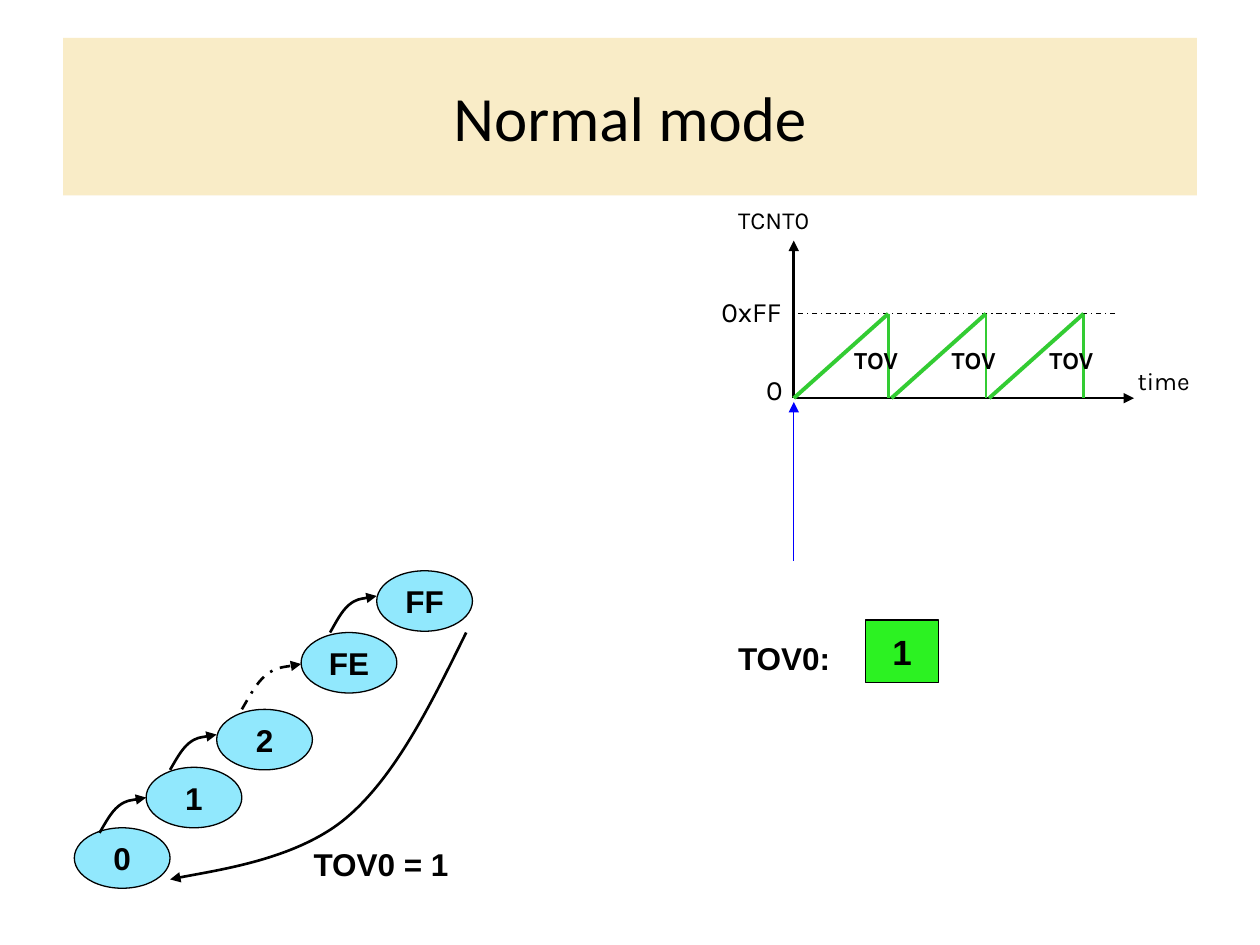
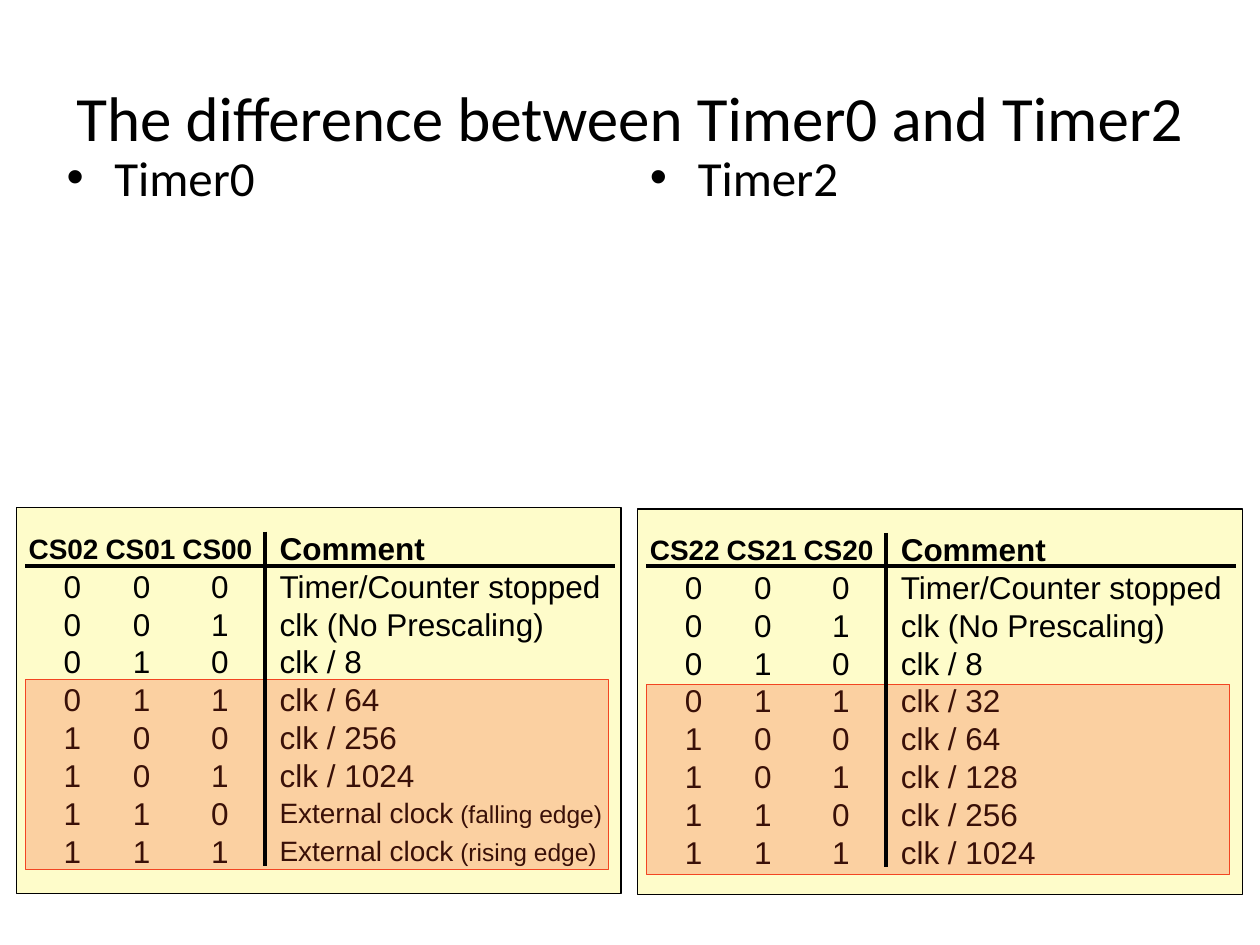
from dataclasses import dataclass

from lxml import etree
from pptx import Presentation
from pptx import util as u
from pptx.dml.color import RGBColor
from pptx.enum import dml, shapes, text
from pptx.oxml.ns import qn


@dataclass(frozen=True)
class Theme:
    black: str = "000000"
    blue: str = "0000FF"
    green: str = "33CC33"
    flag: str = "2CF222"
    state: str = "91E8FD"
    band: str = "F8E8BA"
    panel: str = "FEFCCA"
    highlight: str = "F24522"
    heading_font: str = "Calibri"
    body_font: str = "Arial"
    chart_font: str = "Karla"
    title: int = 36
    bullet: int = 28
    value: int = 20
    body: int = 18
    label: int = 16
    small: int = 14
    thin: float = 0.75
    medium: float = 1.5
    thick: float = 2.25


theme = Theme()
LEFT, CENTER, RIGHT = text.PP_ALIGN.LEFT, text.PP_ALIGN.CENTER, text.PP_ALIGN.RIGHT
DASH_DOT = dml.MSO_LINE.DASH_DOT
NO_GRID_STYLE = "{2D5ABB26-0587-4C30-8999-92F81FD0307C}"


def write(frame, words, size, font=theme.body_font, bold=False, align=LEFT):
    """Put one formatted paragraph in a text frame and return it."""
    para = frame.paragraphs[0]
    para.text = words
    para.alignment = align
    para.font.size = u.Pt(size)
    para.font.name = font
    para.font.bold = bold
    para.font.color.rgb = RGBColor.from_string(theme.black)
    return para


def style_line(line, color, width, dash=None, arrow=False):
    """Format a connector or an open curve, without shadow."""
    line.line.color.rgb = RGBColor.from_string(color)
    line.line.width = u.Pt(width)
    if dash:
        line.line.dash_style = dash
    properties = line.element.spPr
    if arrow:
        etree.SubElement(properties.find(qn("a:ln")), qn("a:tailEnd"), type="triangle")
    etree.SubElement(properties, qn("a:effectLst"))


deck = Presentation()
deck.slide_width, deck.slide_height = u.Inches(10), u.Inches(7.5)
translucent = []  # (shape, opacity in percent)

pages = []
for heading in ("Normal mode", "The difference between Timer0 and Timer2"):
    page = deck.slides.add_slide(deck.slide_layouts[5])
    title = page.shapes.title
    title.left, title.top = u.Inches(0.5), u.Inches(0.3)
    title.width, title.height = u.Inches(9), u.Inches(1.25)
    frame = title.text_frame
    frame.auto_size = text.MSO_AUTO_SIZE.NONE
    frame.vertical_anchor = text.MSO_ANCHOR.MIDDLE
    frame.margin_left = frame.margin_right = 0
    write(frame, heading, theme.title, theme.heading_font, align=CENTER)
    pages.append(page)
mode_page, timer_page = pages

# Normal mode: counter value over time
band = mode_page.shapes.title
band.fill.solid()
band.fill.fore_color.rgb = RGBColor.from_string(theme.band)
translucent.append((band, 80))

origin_x, origin_y, peak_y = 6.3, 3.16, 2.49
tooth_width, tooth_step = 0.75, 0.775
tooth_starts = [origin_x + tooth_step * i for i in range(3)]

chart_lines = [
    (origin_x, origin_y, 9, origin_y, theme.black, theme.medium, None, True),
    (origin_x, origin_y, origin_x, 1.91, theme.black, theme.medium, None, True),
    (8.85, peak_y, origin_x, peak_y, theme.black, theme.thin, DASH_DOT, False),
]
for start in tooth_starts:
    end = start + tooth_width
    chart_lines += [
        (start, origin_y, end, peak_y, theme.green, theme.thick, None, False),
        (end, origin_y, end, peak_y, theme.green, theme.medium, None, False),
    ]
chart_lines.append((origin_x, 4.45, origin_x, 3.19, theme.blue, theme.thin, None, True))
for x1, y1, x2, y2, *style in chart_lines:
    line = mode_page.shapes.add_connector(
        shapes.MSO_CONNECTOR.STRAIGHT,
        u.Inches(x1), u.Inches(y1), u.Inches(x2), u.Inches(y2))
    style_line(line, *style)

labels = [
    ("0xFF", 5.33, 2.29, 0.97, 0.37, theme.label, theme.chart_font, False, RIGHT),
    ("TCNT0", 5.76, 1.58, 0.92, 0.34, theme.small, theme.chart_font, False, LEFT),
    ("0", 5.89, 2.91, 0.42, 0.37, theme.label, theme.chart_font, False, RIGHT),
    ("time", 8.93, 2.86, 0.92, 0.34, theme.small, theme.chart_font, False, LEFT),
    ("TOV0:", 5.76, 5.02, 1.1, 0.4, theme.body, theme.body_font, True, LEFT),
    ("TOV0 = 1", 2.39, 6.66, 1.34, 0.4, theme.body, theme.body_font, True, LEFT),
]
for start in tooth_starts:
    labels.append(("TOV", start + 0.38, 2.69, 1.17, 0.34,
                   theme.small, theme.chart_font, True, LEFT))
for words, left, top, width, height, *style in labels:
    box = mode_page.shapes.add_textbox(
        u.Inches(left), u.Inches(top), u.Inches(width), u.Inches(height))
    box.text_frame.word_wrap = True
    write(box.text_frame, words, *style)

# Normal mode: overflow flag and counter states
OVAL, RECTANGLE = shapes.MSO_SHAPE.OVAL, shapes.MSO_SHAPE.RECTANGLE
nodes = [(RECTANGLE, "1", 6.87, 4.92, 0.58, 0.5, theme.flag, theme.value)]
for words, left, top in (("FE", 2.39, 5.02), ("FF", 2.99, 4.53), ("2", 1.72, 5.63),
                         ("1", 1.16, 6.09), ("0", 0.59, 6.57)):
    nodes.append((OVAL, words, left, top, 0.76, 0.48, theme.state, theme.body))
for kind, words, left, top, width, height, color, size in nodes:
    node = mode_page.shapes.add_shape(
        kind, u.Inches(left), u.Inches(top), u.Inches(width), u.Inches(height))
    node.shadow.inherit = False
    node.fill.solid()
    node.fill.fore_color.rgb = RGBColor.from_string(color)
    node.line.color.rgb = RGBColor.from_string(theme.black)
    node.line.width = u.Pt(theme.thin)
    node.text_frame.word_wrap = False
    node.text_frame.vertical_anchor = text.MSO_ANCHOR.MIDDLE
    write(node.text_frame, words, size, bold=True, align=CENTER)

# Each curve is a start followed by two cubic segments of three points
overflow_curve = [(3.7, 5.02), (3.42, 5.59), (3.14, 6.16), (2.75, 6.49),
                  (2.36, 6.82), (1.63, 6.92), (1.35, 6.98)]
step_shape = [(0, 0), (0.13, 0.29), (0.24, 0.57), (0.4, 0.75),
              (0.57, 0.93), (0.87, 0.96), (1, 1)]
curves = [(overflow_curve, None)]
for x, y, width, height, dash in (
        (0.79, 6.61, 0.37, 0.28, None), (1.35, 6.11, 0.37, 0.28, None),
        (2.62, 5.02, 0.37, 0.29, None), (1.92, 5.63, 0.47, 0.36, DASH_DOT)):
    curves.append(([(x + width * across, y - height * up) for across, up in step_shape], dash))
for points, dash in curves:
    start, *rest = [(u.Inches(x), u.Inches(y)) for x, y in points]
    builder = mode_page.shapes.build_freeform(*start)
    builder.add_line_segments(rest, close=False)
    curve = builder.convert_to_shape()
    outline = next(curve.element.iter(qn("a:path")))
    segments = outline.findall(qn("a:lnTo"))
    for first in range(0, len(segments), 3):
        cubic = etree.SubElement(outline, qn("a:cubicBezTo"))
        for segment in segments[first:first + 3]:
            cubic.append(segment[0])
            outline.remove(segment)
    curve.fill.background()
    style_line(curve, theme.black, theme.medium, dash, arrow=True)

# Timer comparison: one clock-select panel per timer
common = ["Timer/Counter stopped", "clk (No Prescaling)", "clk / 8"]
timers = [
    ("0", 0.43, 0.13, 4.03, 5.39, common + [
        "clk / 64", "clk / 256", "clk / 1024",
        "External clock (falling edge)", "External clock (rising edge)"]),
    ("2", 5.06, 5.06, 4.04, 5.43, common + [
        "clk / 32", "clk / 64", "clk / 128", "clk / 256", "clk / 1024"]),
]
column_widths = (0.61, 0.61, 0.61, 2.85)
digit_insets = (0.14, 0.02, 0.04)
comment_inset = 0.19
row_height = 0.3

for number, bullet_left, left, top, highlight_top, comments in timers:
    box = timer_page.shapes.add_textbox(
        u.Inches(bullet_left), u.Inches(1.12), u.Inches(4.54), u.Inches(1.92))
    box.text_frame.word_wrap = True
    para = box.text_frame.paragraphs[0]
    indent = para._p.get_or_add_pPr()
    indent.set("marL", str(u.Inches(0.38)))
    indent.set("indent", str(u.Inches(-0.38)))
    etree.SubElement(indent, qn("a:buFont"), typeface="Arial")
    etree.SubElement(indent, qn("a:buChar"), char="•")
    write(box.text_frame, f"Timer{number}", theme.bullet, theme.heading_font)

    panel = timer_page.shapes.add_shape(
        RECTANGLE, u.Inches(left), u.Inches(top), u.Inches(4.8), u.Inches(3.06))
    panel.shadow.inherit = False
    panel.fill.solid()
    panel.fill.fore_color.rgb = RGBColor.from_string(theme.panel)
    panel.line.color.rgb = RGBColor.from_string(theme.black)
    panel.line.width = u.Pt(theme.thin)

    header = [f"CS{number}{bit}" for bit in (2, 1, 0)] + ["Comment"]
    rows = [header] + [[*format(i, "03b"), comment] for i, comment in enumerate(comments)]
    table = timer_page.shapes.add_table(
        len(rows), len(header), u.Inches(left + 0.07), u.Inches(top + 0.18),
        u.Inches(sum(column_widths)), u.Inches(row_height * len(rows))).table
    table.first_row = table.horz_banding = False
    next(table._tbl.iter(qn("a:tableStyleId"))).text = NO_GRID_STYLE
    for column, width in zip(table.columns, column_widths):
        column.width = u.Inches(width)
    for r, values in enumerate(rows):
        table.rows[r].height = u.Inches(row_height)
        for c, value in enumerate(values):
            cell = table.cell(r, c)
            cell.fill.background()
            cell.margin_left = cell.margin_right = cell.margin_top = cell.margin_bottom = 0
            cell.vertical_anchor = text.MSO_ANCHOR.MIDDLE
            is_comment = c == 3
            if is_comment:
                cell.margin_left = u.Inches(comment_inset)
            elif r > 0:
                cell.margin_left = u.Inches(digit_insets[c])
            size = theme.label if r == 0 and not is_comment else theme.body
            para = write(cell.text_frame, value, size, bold=r == 0,
                         align=LEFT if is_comment else CENTER)
            if value.startswith("External"):
                source, bracket, edge = value.partition(" (")
                para.runs[0].text = source
                para.font.size = u.Pt(theme.label)
                span = para.add_run()
                span.text = bracket + edge
                span.font.size = u.Pt(theme.small)

    highlight = timer_page.shapes.add_shape(
        RECTANGLE, u.Inches(left + 0.07), u.Inches(highlight_top),
        u.Inches(4.63), u.Inches(1.51))
    highlight.shadow.inherit = False
    highlight.fill.solid()
    highlight.fill.fore_color.rgb = RGBColor.from_string(theme.highlight)
    highlight.line.color.rgb = RGBColor.from_string(theme.highlight)
    highlight.line.width = u.Pt(theme.thin)
    translucent.append((highlight, 24))

    for x1, y1, x2, y2 in ((left + 4.75, 4.49, left + 0.07, 4.49),
                           (left + 1.97, top + 0.19, left + 1.97, top + 2.84)):
        rule = timer_page.shapes.add_connector(
            shapes.MSO_CONNECTOR.STRAIGHT,
            u.Inches(x1), u.Inches(y1), u.Inches(x2), u.Inches(y2))
        style_line(rule, theme.black, theme.thick)

for shape, opacity in translucent:
    color = shape.element.spPr.find(qn("a:solidFill"))[0]
    etree.SubElement(color, qn("a:alpha"), val=str(opacity * 1000))

deck.save("out.pptx")
